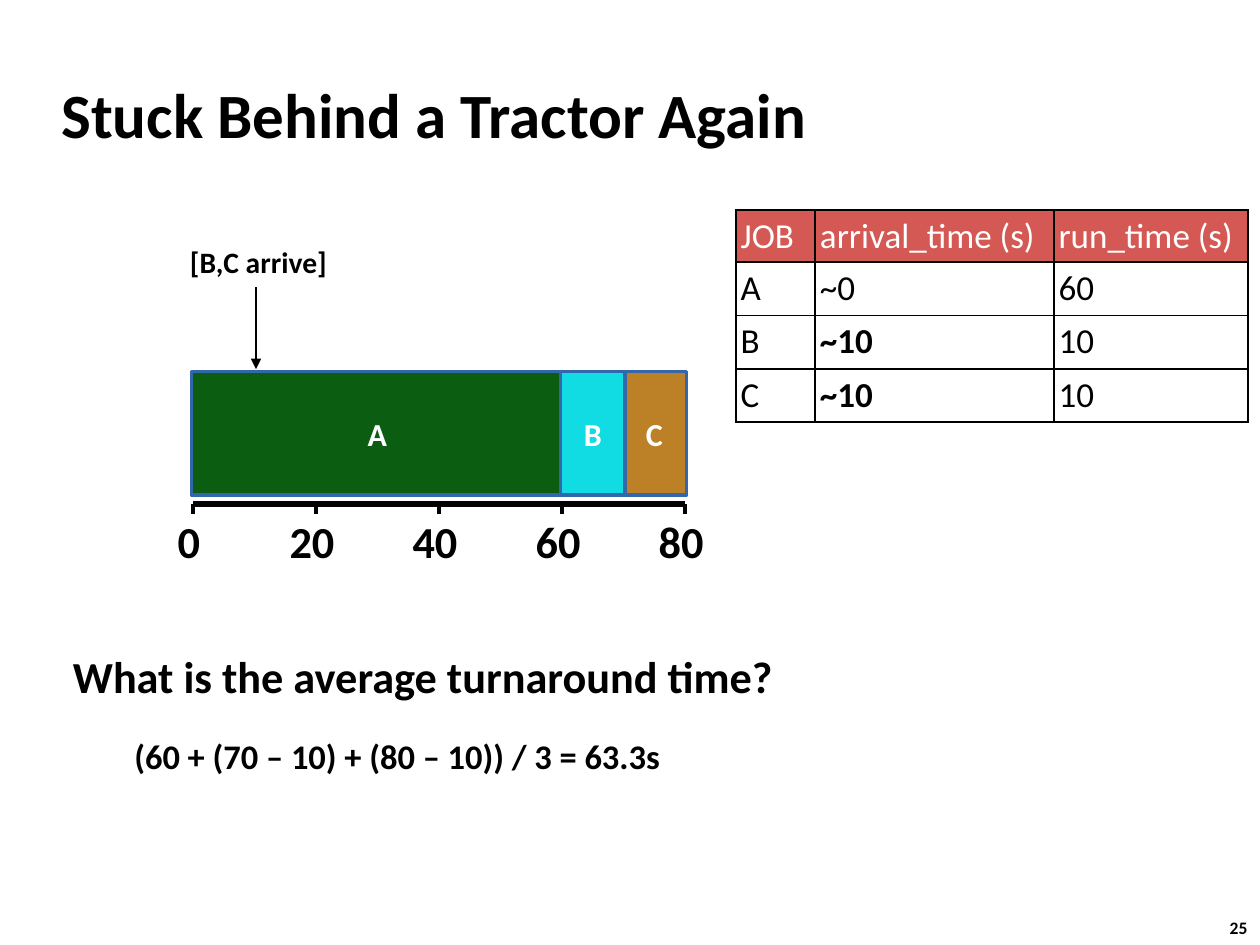
from pptx import Presentation
from pptx.util import Cm, Pt
from pptx.dml.color import RGBColor
from pptx.enum.shapes import MSO_SHAPE, MSO_CONNECTOR
from pptx.enum.text import PP_ALIGN, MSO_ANCHOR
from pptx.oxml import parse_xml
from pptx.oxml.ns import qn, nsdecls

# Content
FONT = "Calibri"
INK, PAPER, EDGE, HEAD = "000000", "FFFFFF", "3366AA", "D45954"
# text, left, top, width, height (cm), size, inset, anchor, wrap
NOTES = [
    ("Stuck Behind a Tractor Again", 0.99, 1.24, 21.08, 2.11, 36, 0.25, "mid", True),
    ("[B,C arrive]", 3.73, 4.83, 3, 0.91, 16.9, 0.1, "mid", False),
    ("What is the average turnaround time?", 1.37, 12.98, 14.48, 1.6, 25.3, 0.1, "top", False),
    ("(60 + (70 – 10) + (80 – 10)) / 3 = 63.3s", 2.46, 14.68, 11.25, 1.09, 19.7, 0.25, "top", False),
    ("25", 24.54, 18.36, 0.94, 0.69, 10, 0.25, "top", False),
]
# job, start, run time, fill; the later bar overlaps the earlier
JOBS = [("A", 0, 60, "0B5D12"), ("C", 70, 10, "BC8027"), ("B", 60, 10, "11DBE3")]
TICKS = range(0, 81, 20)
ROWS = [
    ("JOB", "arrival_time (s)", "run_time (s)"),
    ("A", "~0", "60"),
    ("B", "~10", "10"),
    ("C", "~10", "10"),
]
COLS = [1.6, 4.81, 3.91]

# Time scale (cm)
ZERO, UNIT, AXIS = 3.89, 0.124, 10.16
BAR_TOP, BAR_H, LAP = 7.49, 2.49, 0.06


def color(code):
    return RGBColor.from_string(code)


def write(frame, text, size, tint=INK, bold=True, align=PP_ALIGN.LEFT):
    par = frame.paragraphs[0]
    par.alignment = align
    run = par.add_run()
    run.text = text
    font = run.font
    font.name, font.size, font.bold = FONT, Pt(size), bold
    font.color.rgb = color(tint)


def pad(frame, gap):
    frame.margin_left = frame.margin_right = Cm(gap)
    frame.margin_top = frame.margin_bottom = Cm(min(gap, 0.13))


def label(text, left, top, width, height, size, gap=0.1, anchor="mid",
          wrap=False, align=PP_ALIGN.LEFT):
    box = slide.shapes.add_textbox(Cm(left), Cm(top), Cm(width), Cm(height))
    frame = box.text_frame
    frame.word_wrap = wrap
    frame.vertical_anchor = MSO_ANCHOR.MIDDLE if anchor == "mid" else MSO_ANCHOR.TOP
    pad(frame, gap)
    write(frame, text, size, align=align)


def rule(x1, y1, x2, y2, weight, arrow=False):
    line = slide.shapes.add_connector(
        MSO_CONNECTOR.STRAIGHT, Cm(x1), Cm(y1), Cm(x2), Cm(y2))
    line.line.color.rgb = color(INK)
    line.line.width = Pt(weight)
    if arrow:
        line.line._get_or_add_ln().append(
            parse_xml(f'<a:tailEnd {nsdecls("a")} type="triangle"/>'))
    props = line._element.spPr
    props.append(props.makeelement(qn("a:effectLst"), {}))


def border(cell):
    props = cell._tc.get_or_add_tcPr()
    for i, side in enumerate("LRTB"):
        props.insert(i, parse_xml(
            f'<a:ln{side} {nsdecls("a")} w="15875"><a:solidFill>'
            f'<a:srgbClr val="{INK}"/></a:solidFill></a:ln{side}>'))


prs = Presentation()
prs.slide_width, prs.slide_height = Cm(25.4), Cm(19.05)
slide = prs.slides.add_slide(prs.slide_layouts[6])

# Title, notes and page number
for note in NOTES:
    label(*note)

# Job bars
for job, start, time, fill in JOBS:
    bar = slide.shapes.add_shape(
        MSO_SHAPE.RECTANGLE, Cm(ZERO - LAP / 2 + start * UNIT), Cm(BAR_TOP),
        Cm(time * UNIT + LAP), Cm(BAR_H))
    bar.shadow.inherit = False
    bar.fill.solid()
    bar.fill.fore_color.rgb = color(fill)
    bar.line.color.rgb = color(EDGE)
    bar.line.width = Pt(2)
    frame = bar.text_frame
    frame.vertical_anchor = MSO_ANCHOR.MIDDLE
    pad(frame, 0)
    write(frame, job, 18.3, PAPER, align=PP_ALIGN.CENTER)

# Time axis
rule(ZERO, AXIS, ZERO + TICKS[-1] * UNIT, AXIS, 4)
for tick in TICKS:
    x = ZERO + tick * UNIT
    wide = 1.12 if tick else 0.66
    rule(x, AXIS, x, AXIS + 0.2, 2)
    label(str(tick), x - 0.08 - wide / 2, AXIS + 0.1, wide, 1.27, 25.3,
          align=PP_ALIGN.CENTER)

# Arrival arrow
rule(5.16, 5.79, 5.16, 7.44, 0.75, arrow=True)

# Job table
grid = slide.shapes.add_table(
    len(ROWS), len(COLS), Cm(14.83), Cm(4.24), Cm(sum(COLS)), Cm(4.26)).table
for col, width in zip(grid.columns, COLS):
    col.width = Cm(width)
for r, row in enumerate(ROWS):
    grid.rows[r].height = Cm(1.07 if r else 1.05)
    for c, text in enumerate(row):
        cell = grid.cell(r, c)
        cell.fill.solid()
        cell.fill.fore_color.rgb = color(PAPER if r else HEAD)
        cell.vertical_anchor = MSO_ANCHOR.MIDDLE
        pad(cell, 0.1)
        write(cell.text_frame, text, 20, INK if r else PAPER, text == "~10")
        border(cell)

prs.save("out.pptx")
